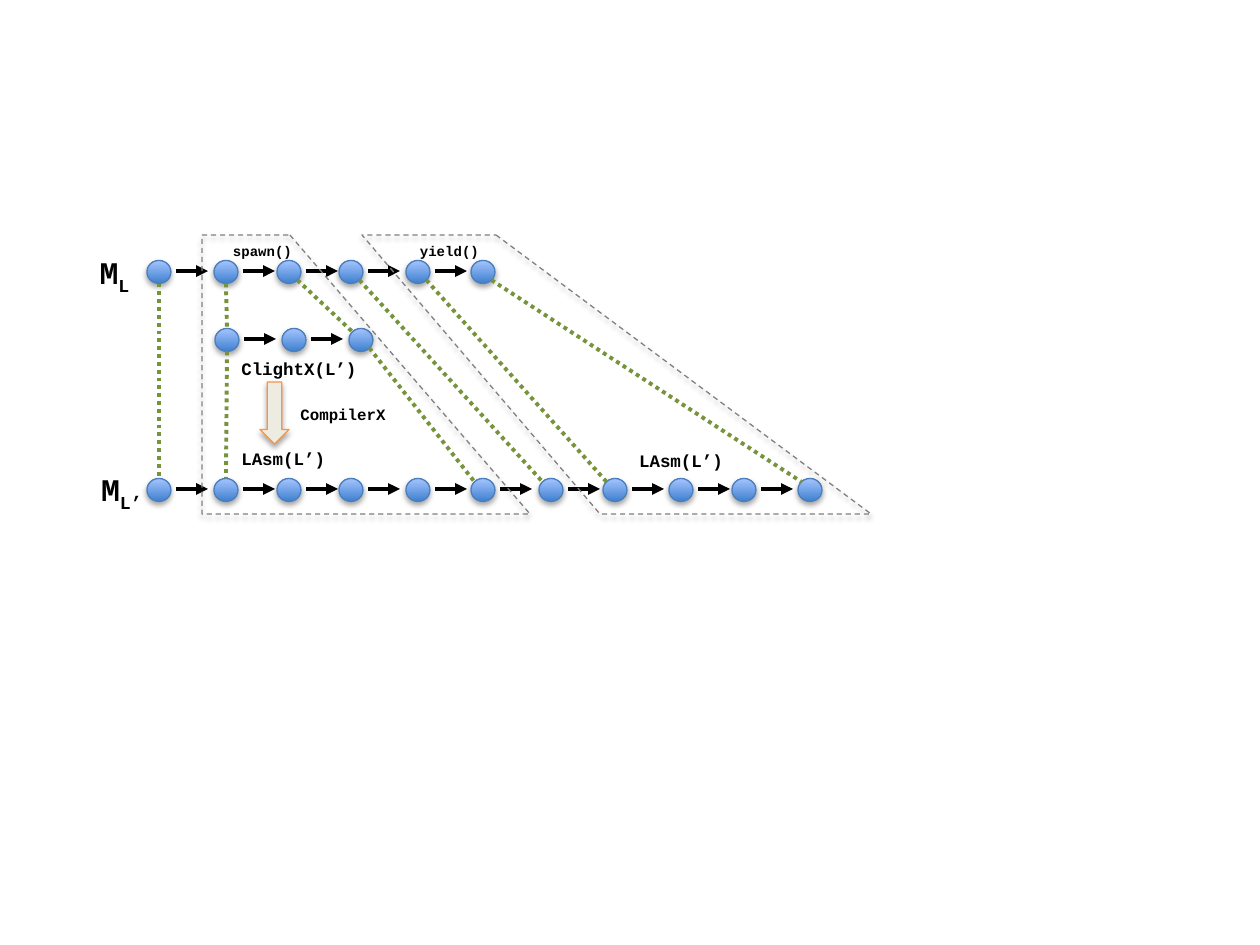
from lxml.etree import SubElement
from pptx import Presentation
from pptx.dml.color import RGBColor
from pptx.enum.dml import MSO_LINE
from pptx.enum.shapes import MSO_CONNECTOR, MSO_SHAPE
from pptx.enum.text import PP_ALIGN
from pptx.oxml.ns import qn
from pptx.util import Pt

PX = 914400 / 126
FONT = "Courier New"
COLORS = {
    "ink": "000000", "link": "77933C", "node_low": "3F80CE",
    "node_high": "A4C4FF", "node_edge": "4B7EBC", "arrow": "EEECE1",
    "arrow_edge": "F79646", "frame": "808080",
}

# Each row of machine states: node centres from left to right, and centre height
COLUMNS = [159, 226, 289, 351, 418, 483, 551, 615, 681, 744, 810]
ROWS = {
    "high": (COLUMNS[:6], 272),
    "source": ([227, 294, 361], 340),
    "low": (COLUMNS, 490),
}
NODE_W, NODE_H = 24, 23
STEP_GAP, STEP_LENGTH = 17, 32

# Related states: (row, index) to (row, index)
LINKS = [
    (("high", 0), ("low", 0)),
    (("high", 1), ("source", 0)),
    (("source", 0), ("low", 1)),
    (("high", 2), ("source", 2)),
    (("source", 2), ("low", 5)),
    (("high", 3), ("low", 6)),
    (("high", 4), ("low", 7)),
    (("high", 5), ("low", 10)),
]

FRAMES = [
    [(290, 235), (530, 514), (202, 514), (202, 235)],
    [(496, 235), (871, 514), (600, 514), (362, 235)],
]

# Text, subscript, left, top, width, height, size, centred
LABELS = [
    ("M", "L", 64, 247, 101, 50, 18, True),
    ("M", "L’", 71, 464, 101, 50, 18, True),
    ("spawn()", "", 168, 236, 189, 30, 8, True),
    ("yield()", "", 355, 236, 189, 30, 8, True),
    ("ClightX(L’)", "", 229, 352, 202, 34, 10, False),
    ("CompilerX", "", 242, 399, 202, 32, 9, True),
    ("LAsm(L’)", "", 580, 444, 202, 34, 10, True),
    ("LAsm(L’)", "", 229, 442, 202, 34, 10, False),
]
COMPILE_ARROW = (260, 382, 29, 62)


def emu(*lengths):
    return [round(length * PX) for length in lengths]


def color(name):
    return RGBColor.from_string(COLORS[name])


def add_text(page, text, box, size, subscript="", centred=True):
    label = page.shapes.add_textbox(*emu(*box))
    label.text_frame.word_wrap = True
    para = label.text_frame.paragraphs[0]
    para.alignment = PP_ALIGN.CENTER if centred else PP_ALIGN.LEFT
    for part in filter(None, (text, subscript)):
        span = para.add_run()
        span.text = part
        span.font.name, span.font.size, span.font.bold = FONT, Pt(size), True
        span.font.color.rgb = color("ink")
    if subscript:
        span.font._element.set("baseline", "-25000")


def add_line(page, start, end, ink, dash=None, arrow=False):
    line = page.shapes.add_connector(MSO_CONNECTOR.STRAIGHT, *emu(*start, *end))
    line.line.color.rgb = color(ink)
    line.line.width = Pt(2.25)
    if dash:
        line.line.dash_style = dash
    if arrow:
        SubElement(line.line._get_or_add_ln(), qn("a:tailEnd"), type="triangle")
    SubElement(line._element.spPr, qn("a:effectLst"))


def outline_and_shadow(shape, edge):
    shape.line.color.rgb = color(edge)
    shape.line.width = Pt(0.75)
    shape.shadow.inherit = False
    effects = shape._element.spPr.find(qn("a:effectLst"))
    shadow = SubElement(effects, qn("a:outerShdw"), blurRad=str(Pt(3.1)),
                        dist=str(Pt(1.8)), dir="5400000", rotWithShape="0")
    black = SubElement(shadow, qn("a:srgbClr"), val=COLORS["ink"])
    SubElement(black, qn("a:alpha"), val="35000")


def add_node(page, x, y):
    node = page.shapes.add_shape(
        MSO_SHAPE.OVAL, *emu(x - NODE_W / 2, y - NODE_H / 2, NODE_W, NODE_H))
    node.fill.gradient()
    node.fill.gradient_angle = 90
    for stop, name in zip(node.fill.gradient_stops, ("node_low", "node_high")):
        stop.color.rgb = color(name)
    outline_and_shadow(node, "node_edge")


def add_row(page, columns, y):
    for x in columns[:-1]:
        start = x + STEP_GAP
        add_line(page, (start, y - 1), (start + STEP_LENGTH, y - 1), "ink", arrow=True)
    for x in columns:
        add_node(page, x, y)


def add_link(page, upper, lower):
    """Join two nodes bottom to top when stacked, otherwise on the diagonal."""
    (x1, y1), (x2, y2) = [
        (ROWS[row][0][index], ROWS[row][1]) for row, index in (upper, lower)]
    stacked = abs(x2 - x1) < NODE_W
    dx, dy = (0, NODE_H / 2) if stacked else (0.35 * NODE_W, 0.35 * NODE_H)
    add_line(page, (x1 + dx, y1 + dy), (x2 - dx, y2 - dy), "link", MSO_LINE.ROUND_DOT)


def add_frame(page, corners):
    builder = page.shapes.build_freeform(*corners[0], scale=PX)
    builder.add_line_segments(corners[1:], close=True)
    frame = builder.convert_to_shape()
    frame.fill.background()
    outline_and_shadow(frame, "frame")
    frame.line.dash_style = MSO_LINE.DASH


def main():
    deck = Presentation()
    deck.slide_width, deck.slide_height = emu(1260, 945)
    page = deck.slides.add_slide(deck.slide_layouts[6])
    for columns, y in ROWS.values():
        add_row(page, columns, y)
    for upper, lower in LINKS:
        add_link(page, upper, lower)
    for text, subscript, *box, size, centred in LABELS:
        add_text(page, text, box, size, subscript=subscript, centred=centred)
    arrow = page.shapes.add_shape(MSO_SHAPE.DOWN_ARROW, *emu(*COMPILE_ARROW))
    arrow.fill.solid()
    arrow.fill.fore_color.rgb = color("arrow")
    outline_and_shadow(arrow, "arrow_edge")
    for corners in FRAMES:
        add_frame(page, corners)
    deck.save("out.pptx")


if __name__ == "__main__":
    main()
